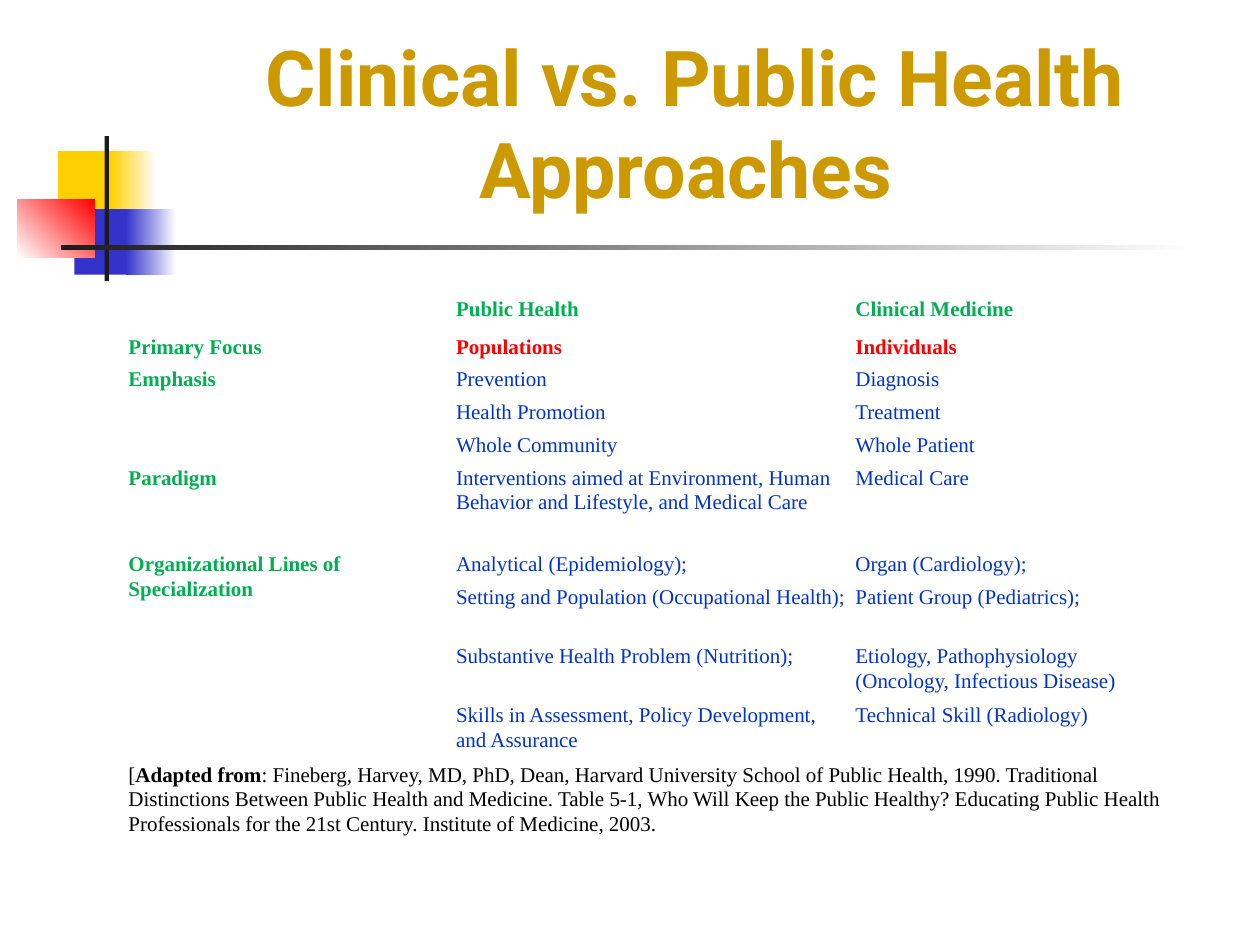
from pptx import Presentation
from pptx.dml.color import RGBColor
from pptx.enum import shapes, text
from pptx.util import Pt

GOLD = RGBColor(0xCC, 0x99, 0x00)
YELLOW = RGBColor(0xFF, 0xCF, 0x01)
NAVY = RGBColor(0x33, 0x33, 0xCC)
RED = RGBColor(0xFF, 0x00, 0x00)
DARK = RGBColor(0x1C, 0x1C, 0x1C)
WHITE = RGBColor(0xFF, 0xFF, 0xFF)
BLACK = RGBColor(0x00, 0x00, 0x00)
GREEN = RGBColor(0x00, 0xB0, 0x50)
BLUE = RGBColor(0x00, 0x33, 0xCC)

BLOCKS = [
    ((33.1, 86.4, 34.6, 37.4), (YELLOW,), 0),
    ((63.4, 86.4, 25.9, 37.4), (YELLOW, WHITE), 0),
    ((42.5, 119.5, 33.1, 37.4), (NAVY,), 0),
    ((72, 119.5, 28.8, 37.4), (NAVY, WHITE), 0),
    ((10, 113.8, 44, 33.1), (WHITE, RED), 45),
    ((59.8, 77.8, 2.4, 82.8), (DARK,), 0),
    ((34.6, 140.2, 648, 2.4), (DARK, WHITE), 0),
]
WIDTHS = [187.2, 228.2, 186.5]
HEIGHTS = [21.6] + [18.7] * 4 + [49.7, 18.7] + [33.8] * 3 + [64.1]
ROWS = [
    ("", "Public Health", "Clinical Medicine"),
    ("Primary Focus", "Populations", "Individuals"),
    ("Emphasis", "Prevention", "Diagnosis"),
    ("", "Health Promotion", "Treatment"),
    ("", "Whole Community", "Whole Patient"),
    ("Paradigm", "Interventions aimed at Environment, Human Behavior and "
     "Lifestyle, and Medical Care", "Medical Care"),
    ("Organizational Lines of Specialization", "Analytical (Epidemiology);",
     "Organ (Cardiology);"),
    ("", "Setting and Population (Occupational Health);",
     "Patient Group (Pediatrics);"),
    ("", "Substantive Health Problem (Nutrition);",
     "Etiology, Pathophysiology (Oncology, Infectious Disease)"),
    ("", "Skills in Assessment, Policy Development, and Assurance",
     "Technical Skill (Radiology)"),
    ("", "", ""),
]
SOURCE = [
    ("[", False),
    ("Adapted from", True),
    (": Fineberg, Harvey, MD, PhD, Dean, Harvard University School of Public "
     "Health, 1990. Traditional Distinctions Between Public Health and "
     "Medicine. Table 5-1, Who Will Keep the Public Healthy? Educating Public "
     "Health Professionals for the 21st Century. Institute of Medicine, 2003.",
     False),
]


def add_block(slide, box, tones, angle):
    """Add a borderless rectangle with a solid or two-tone gradient fill."""
    block = slide.shapes.add_shape(
        shapes.MSO_SHAPE.RECTANGLE, *[Pt(n) for n in box])
    block.shadow.inherit = False
    block.line.fill.background()
    if len(tones) == 1:
        block.fill.solid()
        block.fill.fore_color.rgb = tones[0]
        return
    block.fill.gradient()
    block.fill.gradient_angle = angle
    for place, (stop, tone) in enumerate(zip(block.fill.gradient_stops, tones)):
        stop.position = place
        stop.color.rgb = tone


def set_font(font, name, size, tone, bold):
    """Set the face, size, colour and weight of a font."""
    font.name, font.size, font.bold = name, Pt(size), bold
    font.color.rgb = tone


def set_title(slide):
    """Place and format the title."""
    title = slide.shapes.title
    title.left, title.top = Pt(90.7), Pt(16.6)
    title.width, title.height = Pt(613.4), Pt(109.4)
    frame = title.text_frame
    frame.text = "Clinical vs. Public Health Approaches "
    frame.auto_size = text.MSO_AUTO_SIZE.NONE
    frame.vertical_anchor = text.MSO_ANCHOR.BOTTOM
    para = frame.paragraphs[0]
    para.alignment = text.PP_ALIGN.CENTER
    set_font(para.font, "Roboto", 44, GOLD, True)


def pick_style(row, col):
    """Return the colour and weight that a cell's place calls for."""
    if row == 0 or col == 0:
        return GREEN, True
    return (RED, True) if row == 1 else (BLUE, False)


def fill_cell(cell, words, tone, bold):
    """Write a cell with narrow margins and no fill."""
    cell.fill.background()
    cell.margin_left = cell.margin_right = Pt(1.44)
    cell.margin_top = cell.margin_bottom = Pt(1.44)
    para = cell.text_frame.paragraphs[0]
    para.line_spacing = 1.07
    set_font(para.font, "Times New Roman", 12, tone, bold)
    if words:
        para.add_run().text = words
    return para


def add_grid(slide):
    """Add the comparison table with its source line."""
    grid = slide.shapes.add_table(
        len(ROWS), len(WIDTHS), Pt(72), Pt(167.8),
        Pt(sum(WIDTHS)), Pt(sum(HEIGHTS))).table
    grid.first_row = grid.horz_banding = False
    for col, width in zip(grid.columns, WIDTHS):
        col.width = Pt(width)
    for row, height in zip(grid.rows, HEIGHTS):
        row.height = Pt(height)
    for i, row in enumerate(ROWS):
        for j, words in enumerate(row):
            fill_cell(grid.cell(i, j), words, *pick_style(i, j))
    last = len(ROWS) - 1
    for start, end in [((2, 0), (4, 0)), ((6, 0), (9, 0)),
                       ((last, 0), (last, 2))]:
        grid.cell(*start).merge(grid.cell(*end))
    para = fill_cell(grid.cell(last, 0), "", BLACK, False)
    para.space_after = Pt(8)
    for words, bold in SOURCE:
        run = para.add_run()
        run.text, run.font.bold = words, bold


def main():
    """Build and save the slide."""
    deck = Presentation()
    deck.slide_width, deck.slide_height = Pt(720), Pt(540)
    slide = deck.slides.add_slide(deck.slide_layouts[5])
    for box, tones, angle in BLOCKS:
        add_block(slide, box, tones, angle)
    set_title(slide)
    add_grid(slide)
    deck.save("out.pptx")


if __name__ == "__main__":
    main()
